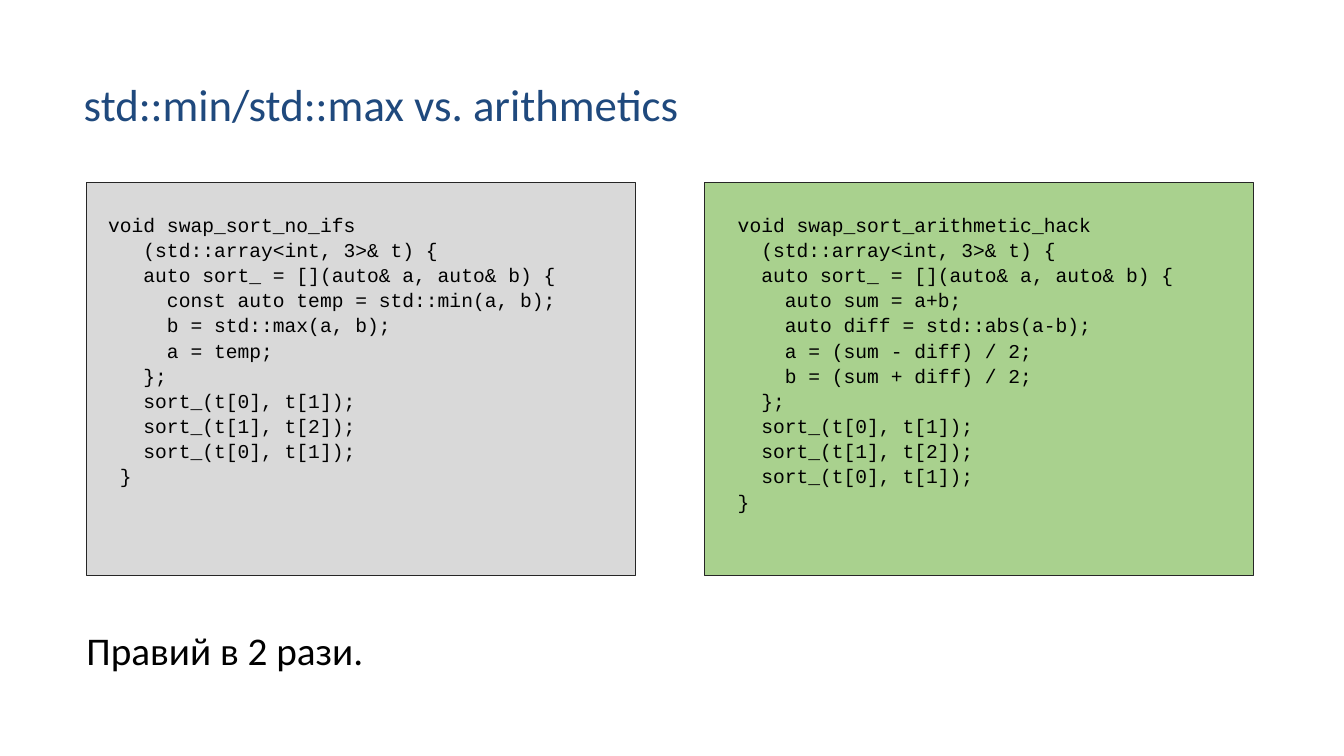
from dataclasses import dataclass

from pptx import Presentation
from pptx.dml.color import RGBColor
from pptx.enum import shapes, text
from pptx.shapes.autoshape import Shape
from pptx.slide import Slide
from pptx.util import Cm, Length, Pt


@dataclass(frozen=True)
class Theme:
    title: str = "1F497D"
    body: str = "000000"
    border: str = "262626"
    baseline_fill: str = "D9D9D9"
    faster_fill: str = "A9D18E"
    prose_font: str = "Calibri"
    code_font: str = "Courier New"
    title_size: int = 32
    verdict_size: int = 28
    code_size: int = 14
    code_spacing: float = 1.07


THEME = Theme()


@dataclass(frozen=True)
class CodePanel:
    left: Length
    fill: str
    code: str


NO_IFS = """\
 void swap_sort_no_ifs
    (std::array<int, 3>& t) {
    auto sort_ = [](auto& a, auto& b) {
      const auto temp = std::min(a, b);
      b = std::max(a, b);
      a = temp;
    };
    sort_(t[0], t[1]);
    sort_(t[1], t[2]);
    sort_(t[0], t[1]);
  }"""

ARITHMETIC_HACK = """\
  void swap_sort_arithmetic_hack
    (std::array<int, 3>& t) {
    auto sort_ = [](auto& a, auto& b) {
      auto sum = a+b;
      auto diff = std::abs(a-b);
      a = (sum - diff) / 2;
      b = (sum + diff) / 2;
    };
    sort_(t[0], t[1]);
    sort_(t[1], t[2]);
    sort_(t[0], t[1]);
  }"""

PANELS = (
    CodePanel(Cm(2.18), THEME.baseline_fill, NO_IFS),
    CodePanel(Cm(17.75), THEME.faster_fill, ARITHMETIC_HACK),
)


def write(shape: Shape, content: str, *, size: int, color: str,
          font: str = THEME.prose_font, spacing: float = 1.0,
          anchor: text.MSO_ANCHOR = text.MSO_ANCHOR.TOP,
          wrap: bool = True, inset_top: Length = Cm(0.13)) -> None:
    """Fill a shape with one left-aligned paragraph per line of content."""
    frame = shape.text_frame
    frame.text = content
    frame.word_wrap = wrap
    frame.auto_size = text.MSO_AUTO_SIZE.NONE
    frame.vertical_anchor = anchor
    frame.margin_left = frame.margin_right = Cm(0.25)
    frame.margin_top, frame.margin_bottom = inset_top, Cm(0.13)
    for line in frame.paragraphs:
        line.alignment = text.PP_ALIGN.LEFT
        line.line_spacing = spacing
        line.font.name = font
        line.font.size = Pt(size)
        line.font.color.rgb = RGBColor.from_string(color)


def add_code_panel(slide: Slide, panel: CodePanel) -> None:
    box = slide.shapes.add_shape(shapes.MSO_SHAPE.RECTANGLE, panel.left,
                                 Cm(4.6), Cm(13.84), Cm(9.91))
    box.shadow.inherit = False
    box.fill.solid()
    box.fill.fore_color.rgb = RGBColor.from_string(panel.fill)
    box.line.color.rgb = RGBColor.from_string(THEME.border)
    box.line.width = Pt(1)
    write(box, panel.code, size=THEME.code_size, color=THEME.body,
          font=THEME.code_font, spacing=THEME.code_spacing, inset_top=Cm(0.72))


def main() -> None:
    deck = Presentation()
    deck.slide_width, deck.slide_height = Cm(33.87), Cm(19.05)
    slide = deck.slides.add_slide(deck.slide_layouts[5])

    title = slide.shapes.title
    title.left, title.top = Cm(1.86), Cm(1.8)
    title.width, title.height = Cm(15.7), Cm(1.62)
    write(title, "std::min/std::max vs. arithmetics", size=THEME.title_size,
          color=THEME.title, wrap=False)

    for panel in PANELS:
        add_code_panel(slide, panel)

    verdict = slide.shapes.add_textbox(Cm(1.93), Cm(15.65), Cm(21.29), Cm(1.45))
    write(verdict, "Правий в 2 рази.", size=THEME.verdict_size,
          color=THEME.body)

    deck.save("out.pptx")


if __name__ == "__main__":
    main()
